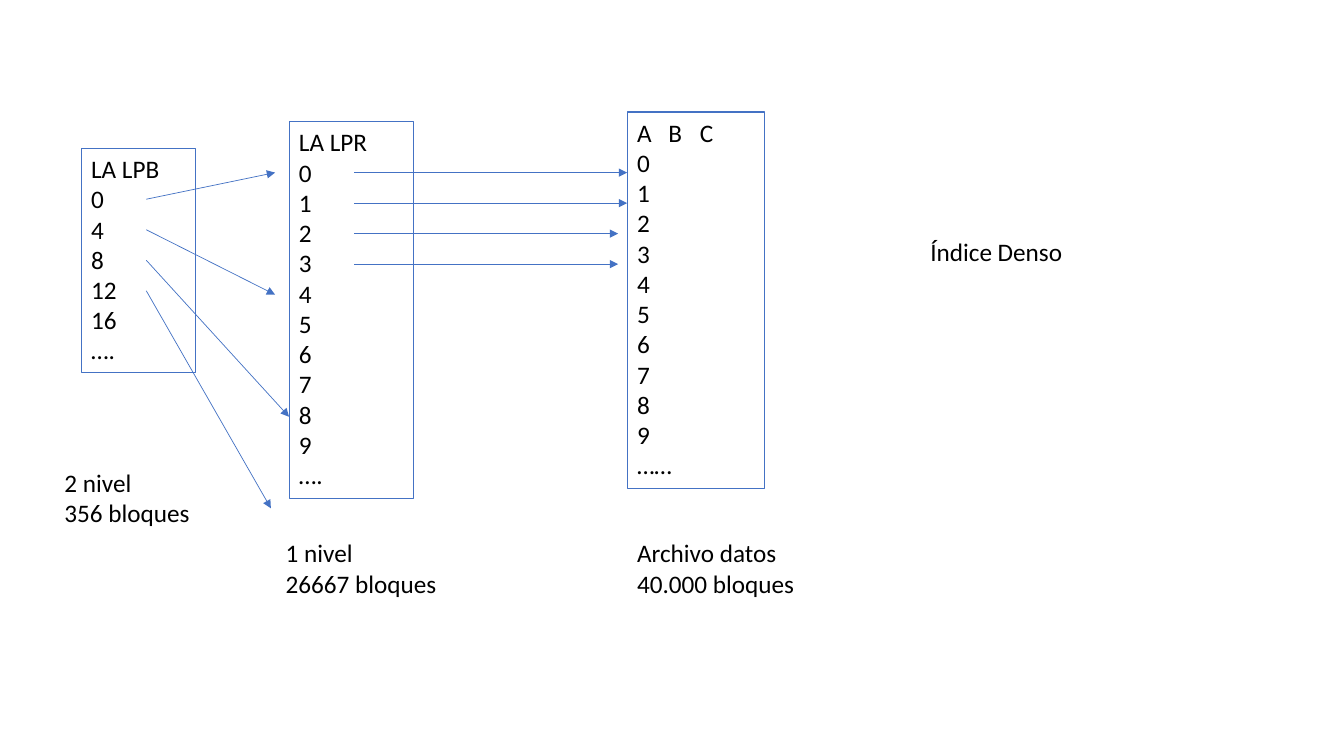
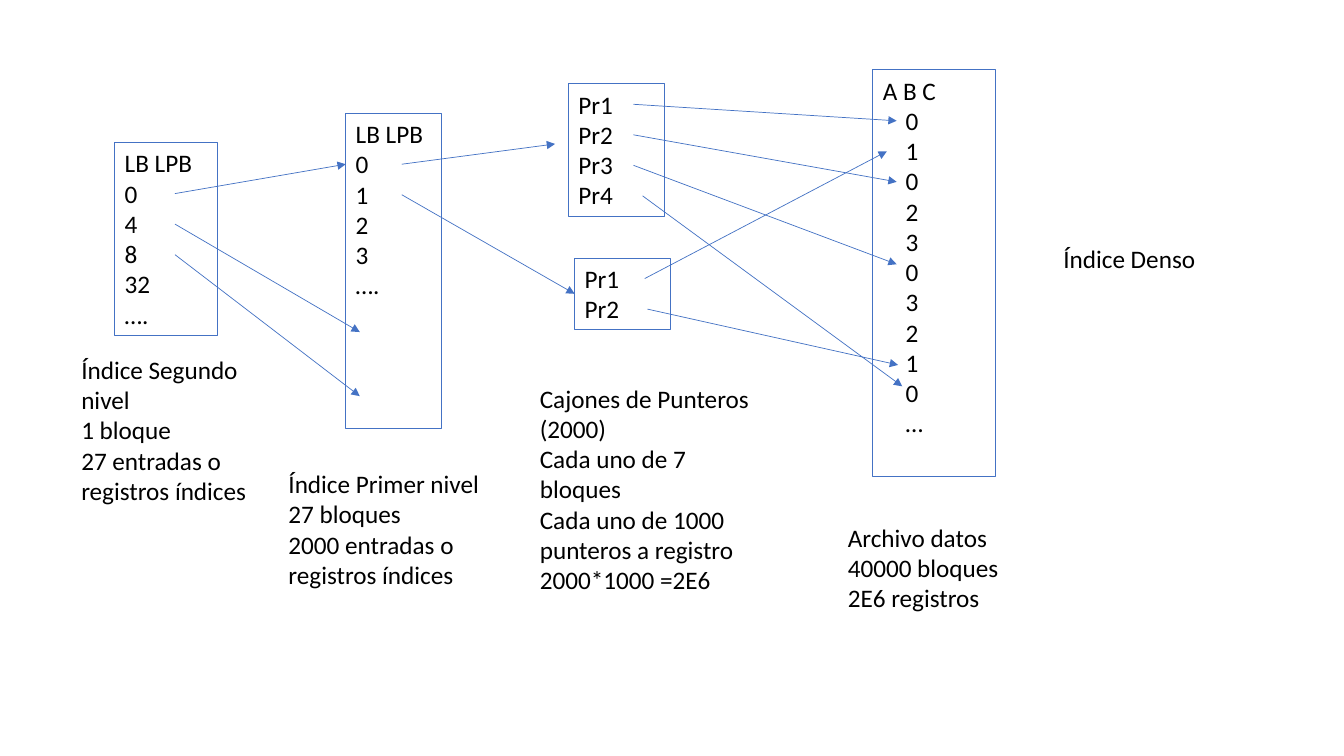
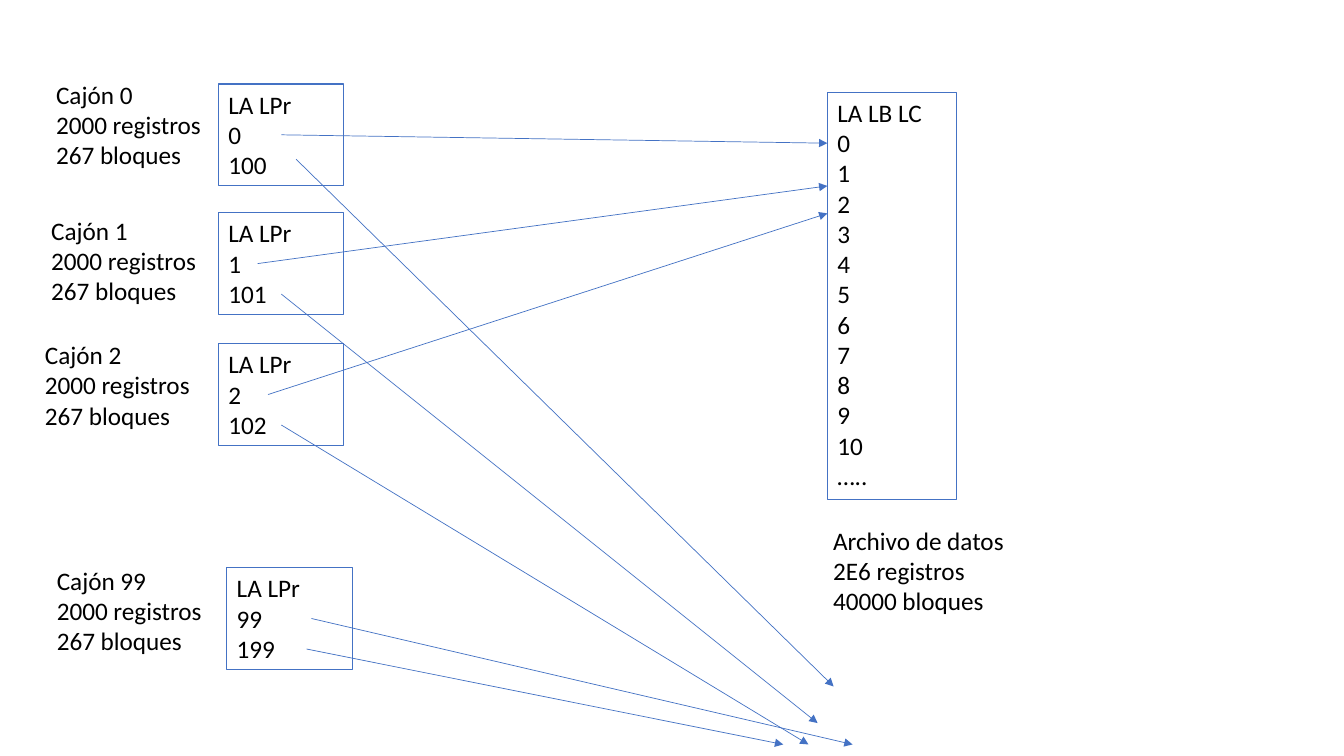
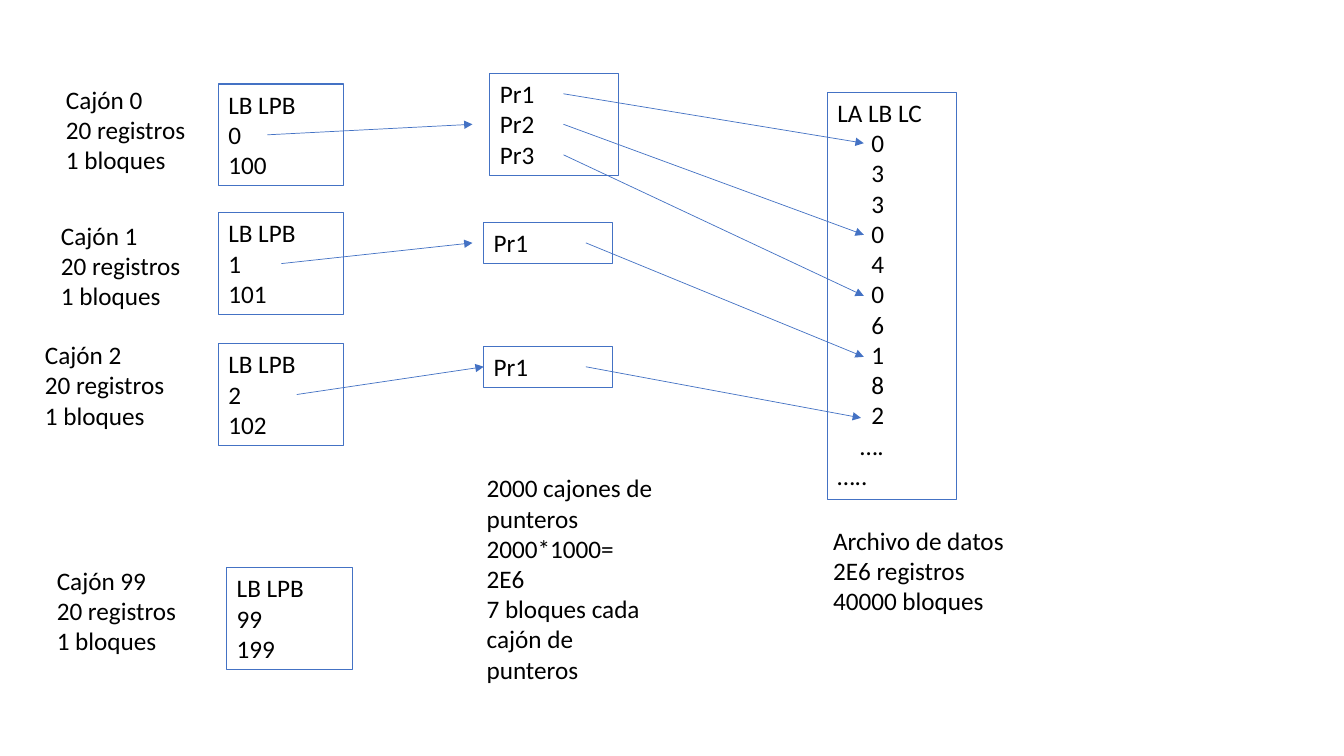
import pptx
import pptx.util
import pptx.enum.shapes
import pptx.enum.text
import pptx.dml.color
import pptx.oxml.ns

Pt = pptx.util.Pt
COLORS = {"line": "4472C4", "text": "000000"}
FONT, TEXT_SIZE = "Calibri", 18
ROW, PADDING = 21.8, 7.2
TAB_STEP = 22.4
INDENT = 4.07
CAPTION_WIDTH = 164


def digits(last):
    return [str(number) for number in range(last + 1)]


def indented(steps, values):
    return [(steps * INDENT, value) for value in values.split()]


DRAWERS = {
    "0": (156, 60, 33, 53),
    "1": (156, 152, 29.5, 150),
    "2": (156, 245.5, 25, 239),
    "99": (162, 405.5, 33.5, 400),
}
DATA_FILE = (591, 66, 92)
DATA_CAPTION = (588, 371.5, ["Archivo de datos", "2E6 registros", "40000 bloques"])


def drawer_blocks(header):
    return {
        number: (left, top, 89.5, [header, number, str(int(number) + 100)])
        for number, (left, top, _, _) in DRAWERS.items()
    }


def drawer_captions(shifted, shift, *details):
    captions = []
    for number, (_, _, left, top) in DRAWERS.items():
        move = shift if number in shifted else 0
        captions.append((left + move, top + move / 2, [f"Cajón {number}", *details]))
    return captions


# placeholder
SLIDES = [
    {
        "blocks": {
            "data": (448, 80, 98, ["A\tB\tC", *digits(9), "……"]),
            "first": (206.5, 87, 89, ["LA LPR", *digits(9), "…."]),
            "second": (58, 106, 81.5, ["LA LPB", "0", "4", "8", "12", "16", "…."]),
        },
        "captions": [
            (448, 380.5, ["Archivo datos", "40.000 bloques"]),
            (197, 380.5, ["1 nivel", "26667 bloques"]),
            (39, 330, ["2 nivel", "356 bloques"]),
            (657.5, 165.5, ["Índice Denso"]),
        ],
        "arrows": [
            ("first", 46.5, 1, "data", 0, ["level", "level"]),
            ("first", 46.5, 3, "data", -6.5, ["level", "level"]),
            ("second", 46.5, 1, "first", -10, [1, 5]),
            ("second", 46.5, 3, "first", 0, [9]),
            ("second", 46.5, 4, "first", -13, [12]),
        ],
    },
    {
        "blocks": {
            "data": (623.5, 50, 87.5, ["A B C", *indented(4, "0 1 0 2 3 0 3 2 1 0 …")], 13),
            "first": (247, 81, 68.5, ["LB LPB", *digits(3), "…."], 10),
            "bucket 0": (406, 60, 68.5, ["Pr1", "Pr2", "Pr3", "Pr4"]),
            "bucket 1": (410.5, 184.5, 68.5, ["Pr1", "Pr2"]),
            "second": (82, 102, 73.5, ["LB LPB", "0", "4", "8", "32", "…."]),
        },
        "captions": [
            (752.5, 170, ["Índice Denso"]),
            (598.5, 369.5, ["Archivo datos", "40000 bloques", "2E6 registros"]),
            (378.5, 270, [
                "Cajones de Punteros (2000)",
                "Cada uno de 7 bloques",
                "Cada uno de 1000 punteros a registro",
                "2000*1000 =2E6",
            ], 165),
            (199, 331, [
                "Índice Primer nivel",
                "27 bloques",
                "2000 entradas o registros índices",
            ]),
            (51, 249.5, [
                "Índice Segundo nivel",
                "1 bloque",
                "27 entradas o registros índices",
            ], 160),
        ],
        "arrows": [
            ("bucket 0", 46.5, 0, "data", 17, [1, 3, 5.7]),
            ("bucket 0", 53, 3, "data", 21, [9.7]),
            ("bucket 1", 50, 0, "data", 10, [2]),
            ("bucket 1", 52, 1, "data", 18, [9]),
            ("first", 40, 1, "bucket 0", -9.5, [1.3]),
            ("first", 40, 2, "bucket 1", 0, [0.5]),
            ("second", 43, 1, "first", 0, [1]),
            ("second", 43, 2, "first", 10, [6.5, 8.6]),
        ],
    },
    {
        "blocks": {
            "data": (*DATA_FILE, ["LA LB LC", *digits(10), "….."]),
            **drawer_blocks("LA LPr"),
        },
        "captions": [
            DATA_CAPTION,
            *drawer_captions("", 0, "2000 registros", "267 bloques"),
        ],
        "arrows": [
            ("0", 45, 1, "data", 0, [1]),
            ("0", 55.5, 1.8, "data", 4.5, [18.8]),
            ("1", 28, 1, "data", 0, [2.4]),
            ("1", 45, 2, "data", -7, [20]),
            ("2", 35.5, 1, "data", 0, [3.3]),
            ("2", 45, 2, "data", -13.5, [20.7]),
            ("99", 60.5, 1, "data", 18, [20.7]),
            ("99", 57, 2, "data", -31.5, [20.7]),
        ],
    },
    {
        "blocks": {
            "data": (*DATA_FILE, [
                "LA LB LC", *indented(6, "0 3 3 0 4 0 6 1 8 2"), *indented(4, "…."), "…..",
            ]),
            **drawer_blocks("LB LPB"),
            "bucket 0": (350, 52.5, 92, ["Pr1", "Pr2", "Pr3"]),
            "bucket 1": (345.5, 159, 92, ["Pr1"]),
            "bucket 2": (345.5, 247.5, 92, ["Pr1"]),
        },
        "captions": [
            DATA_CAPTION,
            *drawer_captions("01", 7, "20 registros", "1 bloques"),
            (340.5, 334, [
                "2000 cajones de punteros",
                "2000*1000= 2E6",
                "7 bloques cada cajón de punteros",
            ], 133),
        ],
        "arrows": [
            ("bucket 0", 52.5, 0, "data", 26, [1, 4, 6]),
            ("bucket 1", 73, 0, "data", 26, [8]),
            ("bucket 2", 73, 0, "data", 24, [10]),
            ("0", 35, 1, "bucket 0", -12.5, [1]),
            ("1", 45, 1, "bucket 1", -8, [0]),
            ("2", 56, 1, "bucket 2", 0, [0]),
        ],
    },
]


def color(name):
    return pptx.dml.color.RGBColor.from_string(COLORS[name])


def add_child(parent, tag, **attributes):
    child = parent.makeelement(pptx.oxml.ns.qn(tag), attributes)
    parent.append(child)
    return child


def height(rows):
    return Pt(rows * ROW + PADDING)


def row_centre(block, row):
    return block[1] + PADDING / 2 + (row + 0.5) * ROW


def write_lines(frame, lines):
    frame.word_wrap = True
    frame.vertical_anchor = pptx.enum.text.MSO_ANCHOR.TOP
    for index, line in enumerate(lines):
        indent, words = line if isinstance(line, tuple) else (0, line)
        paragraph = frame.add_paragraph() if index else frame.paragraphs[0]
        paragraph.alignment = pptx.enum.text.PP_ALIGN.LEFT
        properties = paragraph._p.get_or_add_pPr()
        if indent:
            properties.set("marL", str(Pt(indent)))
        if "\t" in words:
            stops = add_child(properties, "a:tabLst")
            for column in range(1, words.count("\t") + 1):
                add_child(stops, "a:tab", pos=str(Pt(column * TAB_STEP)), algn="l")
        run = paragraph.add_run()
        run.text = words
        run.font.name = FONT
        run.font.size = Pt(TEXT_SIZE)
        run.font.color.rgb = color("text")


def add_block(slide, left, top, width, lines, rows=None):
    block = slide.shapes.add_shape(
        pptx.enum.shapes.MSO_SHAPE.RECTANGLE,
        Pt(left), Pt(top), Pt(width), height(rows or len(lines)))
    block.shadow.inherit = False
    block.fill.background()
    block.line.color.rgb = color("line")
    block.line.width = Pt(0.75)
    write_lines(block.text_frame, lines)


def add_caption(slide, left, top, lines, width=CAPTION_WIDTH):
    caption = slide.shapes.add_textbox(Pt(left), Pt(top), Pt(width), height(len(lines)))
    write_lines(caption.text_frame, lines)


def add_arrows(slide, blocks, source, inset, first_row, target, gap, target_rows):
    start, end = blocks[source], blocks[target]
    for step, target_row in enumerate(target_rows):
        tail_y = row_centre(start, first_row + step)
        head_y = tail_y if target_row == "level" else row_centre(end, target_row)
        arrow = slide.shapes.add_connector(
            pptx.enum.shapes.MSO_CONNECTOR.STRAIGHT,
            Pt(start[0] + inset), Pt(tail_y), Pt(end[0] + gap), Pt(head_y))
        arrow.line.color.rgb = color("line")
        arrow.line.width = Pt(0.5)
        add_child(arrow.line._get_or_add_ln(), "a:tailEnd", type="triangle")
        add_child(arrow._element.spPr, "a:effectLst")


def main():
    deck = pptx.Presentation()
    deck.slide_width, deck.slide_height = Pt(960), Pt(540)
    for content in SLIDES:
        slide = deck.slides.add_slide(deck.slide_layouts[6])
        for block in content["blocks"].values():
            add_block(slide, *block)
        for caption in content["captions"]:
            add_caption(slide, *caption)
        for arrows in content["arrows"]:
            add_arrows(slide, content["blocks"], *arrows)
    deck.save("out.pptx")


if __name__ == "__main__":
    main()
